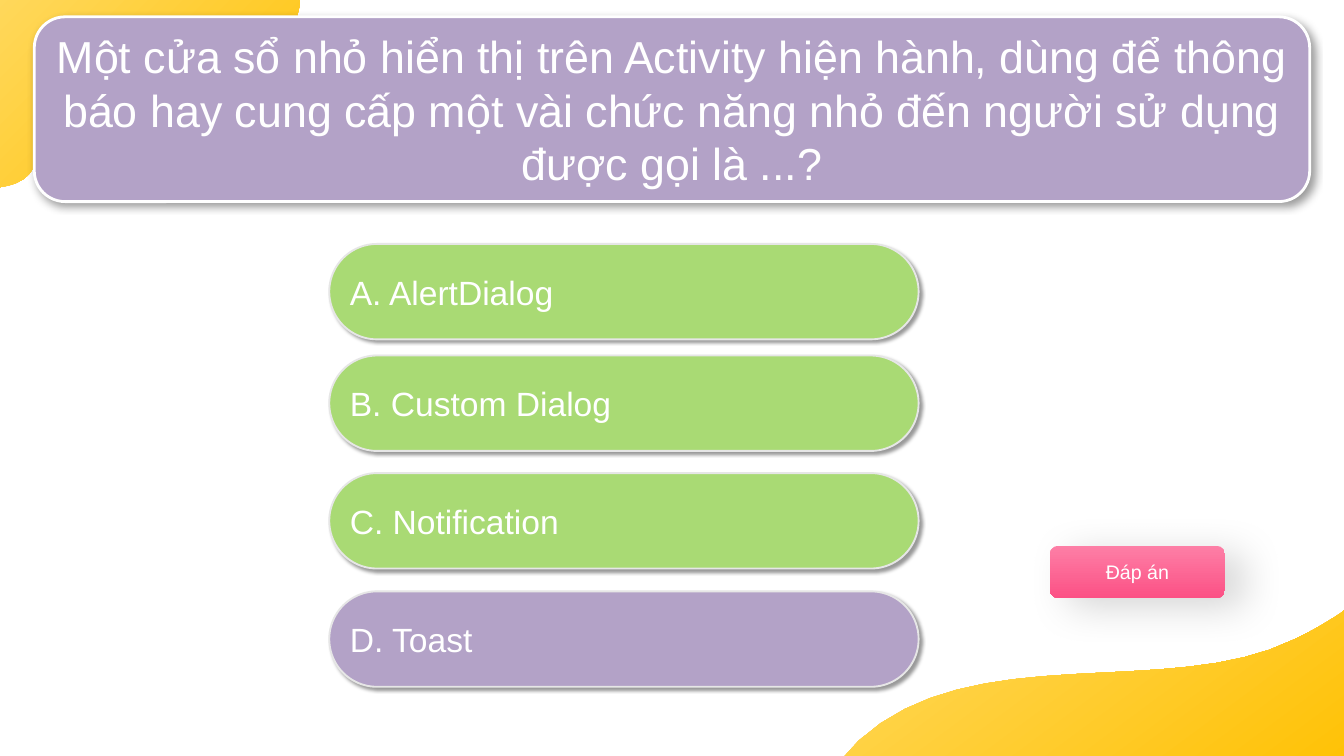
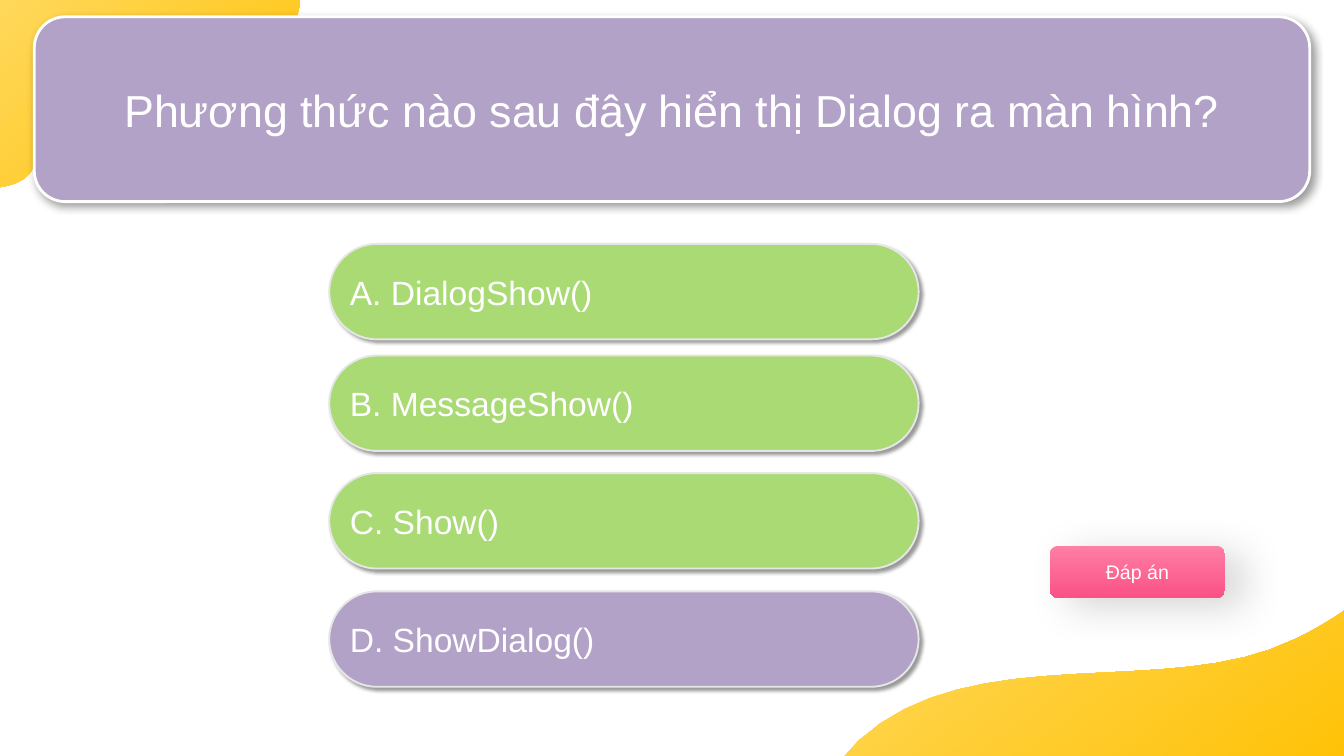
import dataclasses

import lxml.etree
import pptx
import pptx.dml.color
import pptx.enum.shapes
import pptx.enum.text
import pptx.oxml.ns
import pptx.util

Inches = pptx.util.Inches
Pt = pptx.util.Pt
MSO_SHAPE = pptx.enum.shapes.MSO_SHAPE
PP_ALIGN = pptx.enum.text.PP_ALIGN
qn = pptx.oxml.ns.qn


@dataclasses.dataclass(frozen=True)
class Theme:
    font: str = "Arial"
    text: str = "FFFFFF"
    question: str = "B3A2C7"
    question_border: str = "FFFFFF"
    option: str = "A9DA74"
    correct_option: str = "B3A2C7"
    option_border: str = "E6E6E6"
    wave: tuple = ("FFD85B", "FFC207")
    button: tuple = ("FD7FA6", "FC5185")
    shadow: str = "000000"
    question_size: int = 48
    option_size: int = 36
    button_size: int = 21


@dataclasses.dataclass(frozen=True)
class Shadow:
    opacity: int
    blur: int
    distance: int
    angle: int


THEME = Theme()
QUESTION_SHADOW = Shadow(40, 9, 5, 45)
OPTION_SHADOW = Shadow(40, 4, 3, 45)
BUTTON_SHADOW = Shadow(17, 45, 22, 25)

OPTION_TOPS = (3.63, 5.29, 7.04, 8.8)
CURVE_STEPS = 16

TOP_WAVE = [
    [(0, -0.05)], [(4.46, -0.05)], [(4.46, 0.05)],
    [(4.42, 0.54), (3.93, 0.93), (3.1, 0.76)],
    [(1.9, 0.5), (1.32, 0.23), (0.83, 0.81)],
    [(0.34, 1.39), (0.89, 2.46), (0.25, 2.72)],
    [(0.17, 2.75), (0.1, 2.77), (0.02, 2.78)],
    [(0, 2.79)],
]
BOTTOM_WAVE = [
    [(20.03, 9.06)], [(20.03, 11.25)], [(12.57, 11.25)], [(12.78, 11.02)],
    [(14.46, 9.48), (17.4, 10.43), (19.25, 9.52)],
    [(19.49, 9.41), (19.71, 9.28), (19.93, 9.14)],
]

QUIZ = [
    (
        "Một cửa sổ nhỏ hiển thị trên Activity hiện hành, dùng để thông báo "
        "hay cung cấp một vài chức năng nhỏ đến người sử dụng được gọi là ...?",
        ["AlertDialog", "Custom Dialog", "Notification", "Toast"],
        "D",
    ),
    (
        "Phương thức nào sau đây hiển thị Dialog ra màn hình?",
        ["DialogShow()", "MessageShow()", "Show()", "ShowDialog()"],
        "D",
    ),
]


def rgb(value):
    return pptx.dml.color.RGBColor.from_string(value)


def fill_solid(shape, color):
    shape.fill.solid()
    shape.fill.fore_color.rgb = rgb(color)


def fill_gradient(shape, colors, clockwise_angle):
    shape.fill.gradient()
    shape.fill.gradient_angle = 360 - clockwise_angle
    for stop, color, position in zip(shape.fill.gradient_stops, colors, (0, 1)):
        stop.color.rgb = rgb(color)
        stop.position = position


def set_border(shape, color, width):
    shape.line.color.rgb = rgb(color)
    shape.line.width = Pt(width)


def cast_shadow(shape, shadow):
    shape.shadow.inherit = False
    effects = shape.element.spPr.find(qn("a:effectLst"))
    outer = lxml.etree.SubElement(
        effects, qn("a:outerShdw"),
        blurRad=str(Pt(shadow.blur)), dist=str(Pt(shadow.distance)),
        dir=str(shadow.angle * 60000), algn="tl", rotWithShape="0",
    )
    color = lxml.etree.SubElement(outer, qn("a:srgbClr"), val=THEME.shadow)
    lxml.etree.SubElement(color, qn("a:alpha"), val=str(shadow.opacity * 1000))


def write_label(shape, text, size, alignment):
    frame = shape.text_frame
    frame.word_wrap = True
    frame.vertical_anchor = pptx.enum.text.MSO_ANCHOR.MIDDLE
    paragraph = frame.paragraphs[0]
    paragraph.alignment = alignment
    run = paragraph.add_run()
    run.text = text
    run.font.name = THEME.font
    run.font.size = Pt(size)
    run.font.color.rgb = rgb(THEME.text)


def add_panel(slide, kind, left, top, width, height, shadow):
    panel = slide.shapes.add_shape(
        kind, Inches(left), Inches(top), Inches(width), Inches(height))
    cast_shadow(panel, shadow)
    return panel


def curve_points(start, control_1, control_2, end):
    for step in range(1, CURVE_STEPS + 1):
        t = step / CURVE_STEPS
        weights = ((1 - t) ** 3, 3 * t * (1 - t) ** 2, 3 * t ** 2 * (1 - t), t ** 3)
        corners = (start, control_1, control_2, end)
        yield tuple(sum(w * c[axis] for w, c in zip(weights, corners)) for axis in (0, 1))


def add_wave(slide, outline, clockwise_angle):
    points = list(outline[0])
    for segment in outline[1:]:
        points.extend(curve_points(points[-1], *segment) if len(segment) == 3 else segment)
    points = [(Inches(x), Inches(y)) for x, y in points]
    builder = slide.shapes.build_freeform(*points[0])
    builder.add_line_segments(points[1:], close=True)
    wave = builder.convert_to_shape()
    wave.shadow.inherit = False
    wave.line.fill.background()
    fill_gradient(wave, THEME.wave, clockwise_angle)


def add_answer_button(slide):
    button = add_panel(slide, MSO_SHAPE.FLOWCHART_ALTERNATE_PROCESS,
                       15.62, 8.12, 2.61, 0.78, BUTTON_SHADOW)
    fill_gradient(button, THEME.button, 90)
    button.line.fill.background()
    write_label(button, "Đáp án", THEME.button_size, PP_ALIGN.CENTER)


def add_option(slide, top, text, is_correct):
    option = add_panel(slide, MSO_SHAPE.ROUNDED_RECTANGLE,
                       4.9, top, 8.77, 1.42, OPTION_SHADOW)
    option.adjustments[0] = 0.5
    fill_solid(option, THEME.correct_option if is_correct else THEME.option)
    set_border(option, THEME.option_border, 2)
    write_label(option, text, THEME.option_size, PP_ALIGN.LEFT)


def add_question(slide, text):
    question = add_panel(slide, MSO_SHAPE.ROUNDED_RECTANGLE,
                         0.51, 0.25, 18.98, 2.75, QUESTION_SHADOW)
    fill_solid(question, THEME.question)
    set_border(question, THEME.question_border, 3)
    write_label(question, text, THEME.question_size, PP_ALIGN.CENTER)


def add_quiz_slide(deck, question, options, correct):
    slide = deck.slides.add_slide(deck.slide_layouts[6])
    add_wave(slide, TOP_WAVE, 45)
    add_wave(slide, BOTTOM_WAVE, 53.5)
    add_answer_button(slide)
    for letter, top, option in zip("ABCD", OPTION_TOPS, options):
        add_option(slide, top, f"{letter}. {option}", letter == correct)
    add_question(slide, question)


def main():
    deck = pptx.Presentation()
    deck.slide_width = Inches(20)
    deck.slide_height = Inches(11.25)
    for question, options, correct in QUIZ:
        add_quiz_slide(deck, question, options, correct)
    deck.save("out.pptx")


if __name__ == "__main__":
    main()
